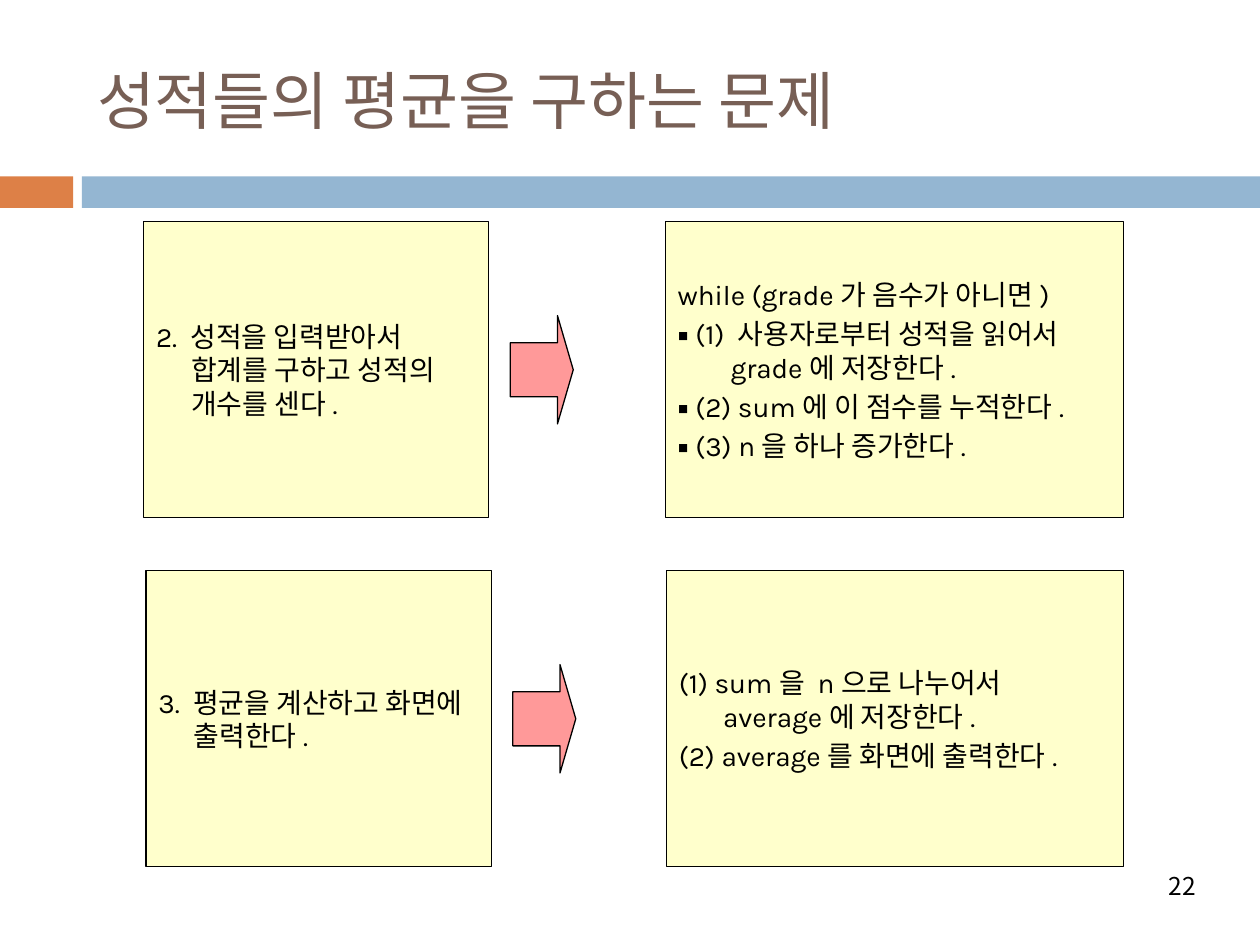
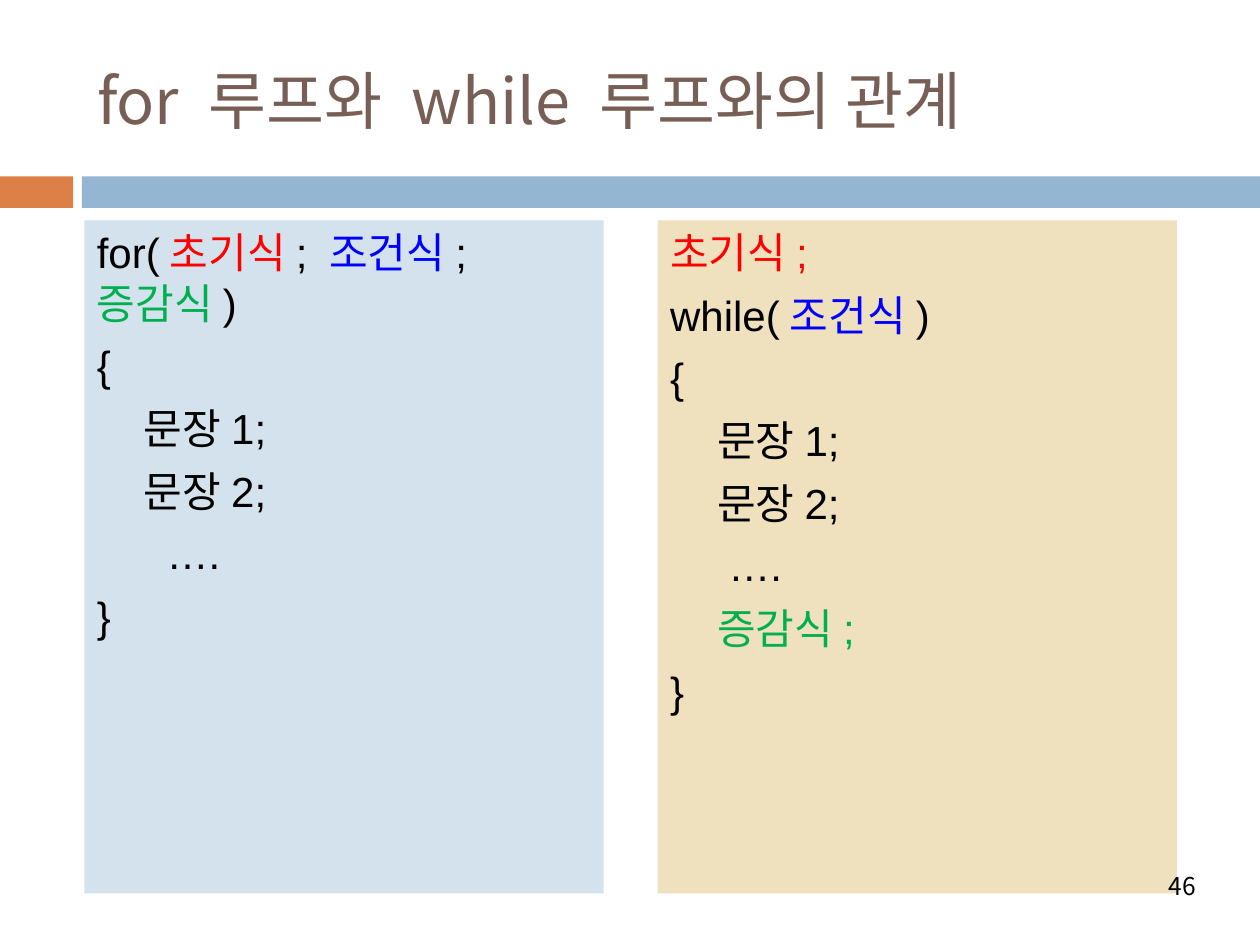
"""Build two lecture slides about loops: computing an average, and for versus while."""
from lxml.etree import SubElement
from pptx import Presentation
from pptx.dml.color import RGBColor
from pptx.enum.shapes import MSO_SHAPE
from pptx.enum.text import MSO_ANCHOR, PP_ALIGN
from pptx.oxml.ns import qn
from pptx.util import Inches, Pt

BLACK = RGBColor(0x00, 0x00, 0x00)
BROWN = RGBColor(0x77, 0x5F, 0x55)
ORANGE = RGBColor(0xDD, 0x80, 0x47)
BLUE = RGBColor(0x94, 0xB6, 0xD2)
YELLOW = RGBColor(0xFF, 0xFF, 0xCC)
PINK = RGBColor(0xFF, 0x99, 0x99)
PALE_BLUE = RGBColor(0xD4, 0xE2, 0xED)
PALE_TAN = RGBColor(0xEF, 0xE0, 0xBE)
INIT_RED = RGBColor(0xFF, 0x00, 0x00)
TEST_BLUE = RGBColor(0x00, 0x00, 0xFF)
STEP_GREEN = RGBColor(0x00, 0xB0, 0x50)

KOREAN_FONT = "Noto Sans CJK KR"
TITLE_STYLE = {"size": Pt(36), "name": KOREAN_FONT}
STEP_STYLE = {"size": Pt(16), "name": "Karla"}
CODE_STYLE = {"size": Pt(24), "name": "Arial"}
NUMBER_STYLE = {"size": Pt(14), "name": KOREAN_FONT}

BANDS = [(0, 0.58, ORANGE), (0.65, 9.35, BLUE)]

AVERAGE_TITLE = "성적들의 평균을 구하는 문제"
AVERAGE_STEPS = [
    {
        "task": ["2. 성적을 입력받아서 합계를 구하고 성적의 개수를 센다."],
        "detail": [
            "while (grade가 음수가 아니면)",
            "▪ (1) 사용자로부터 성적을 읽어서 grade에 저장한다.",
            "▪ (2) sum에 이 점수를 누적한다.",
            "▪ (3) n을 하나 증가한다.",
        ],
        "detail_indent": 0.42,
    },
    {
        "task": ["3. 평균을 계산하고 화면에 출력한다."],
        "detail": [
            "(1) sum을 n으로 나누어서 average에 저장한다.",
            "(2) average를 화면에 출력한다.",
        ],
        "detail_indent": 0.35,
    },
]

LOOP_TITLE = "for 루프와 while 루프와의 관계"
INIT = ("초기식", INIT_RED)
TEST = ("조건식", TEST_BLUE)
STEP = ("증감식", STEP_GREEN)
FOR_CODE = [
    ["for(", INIT, "; ", TEST, "; ", STEP, ")"],
    "{",
    "     문장1;",
    "     문장2;",
    "      ….",
    "}",
]
WHILE_CODE = [
    [("초기식;", INIT_RED)],
    ["while(", TEST, ")"],
    "{",
    "     문장1;",
    "     문장2;",
    "     ….",
    ["     ", ("증감식;", STEP_GREEN)],
    "}",
]
CODE_PANELS = [(FOR_CODE, PALE_BLUE), (WHILE_CODE, PALE_TAN)]


def write(frame, lines, style, color=BLACK, anchor=MSO_ANCHOR.MIDDLE,
          align=PP_ALIGN.LEFT, gap=0, hanging=0):
    frame.word_wrap = True
    frame.vertical_anchor = anchor
    for index, line in enumerate(lines):
        para = frame.paragraphs[0] if index == 0 else frame.add_paragraph()
        para.alignment = align
        para.space_before = Pt(gap if index else 0)
        if hanging:
            properties = para._p.get_or_add_pPr()
            properties.set("marL", str(Inches(hanging)))
            properties.set("indent", str(-Inches(hanging)))
        for part in [line] if isinstance(line, str) else line:
            text, tint = (part, color) if isinstance(part, str) else part
            span = para.add_run()
            span.text = text
            for key, value in style.items():
                setattr(span.font, key, value)
            span.font.color.rgb = tint
            east_asian = SubElement(span._r.get_or_add_rPr(), qn("a:ea"))
            east_asian.set("typeface", KOREAN_FONT)


def add_block(page, kind, left, top, width, height, fill, outlined=False):
    block = page.shapes.add_shape(
        kind, Inches(left), Inches(top), Inches(width), Inches(height))
    block.shadow.inherit = False
    block.fill.solid()
    block.fill.fore_color.rgb = fill
    if outlined:
        block.line.color.rgb = BLACK
        block.line.width = Pt(0.75)
    else:
        block.line.fill.background()
    return block


def add_page(deck, title, number):
    page = deck.slides.add_slide(deck.slide_layouts[5])
    for left, width, fill in BANDS:
        add_block(page, MSO_SHAPE.RECTANGLE, left, 1.4, width, 0.25, fill)
    place = {"left": 0.67, "top": 0.25, "width": 8.92, "height": 1.08}
    for key, value in place.items():
        setattr(page.shapes.title, key, Inches(value))
    write(page.shapes.title.text_frame, [title], TITLE_STYLE, BROWN)
    return page


def add_number(page, number):
    box = page.shapes.add_textbox(Inches(6.81), Inches(6.83), Inches(2.78), Inches(0.4))
    write(box.text_frame, [str(number)], NUMBER_STYLE, align=PP_ALIGN.RIGHT)


def add_average_page(deck, number):
    page = add_page(deck, AVERAGE_TITLE, number)
    row_pitch, box_height, arrow_height, right_edge = 2.77, 2.35, 0.86, 8.92
    for row, step in enumerate(AVERAGE_STEPS):
        top = 1.76 + row * row_pitch
        shift = 0.02 * row
        detail_left = 5.28 + shift / 2
        boxes = [
            (1.14 + shift, 2.74, step["task"], 0.28),
            (detail_left, right_edge - detail_left, step["detail"], step["detail_indent"]),
        ]
        for left, width, lines, hanging in boxes:
            box = add_block(page, MSO_SHAPE.RECTANGLE, left, top, width, box_height,
                            YELLOW, outlined=True)
            write(box.text_frame, lines, STEP_STYLE, gap=3.2, hanging=hanging)
        arrow_top = top + (box_height - arrow_height) / 2
        arrow = add_block(page, MSO_SHAPE.RIGHT_ARROW, 4.05 + shift, arrow_top, 0.5,
                          arrow_height, PINK, outlined=True)
        arrow.adjustments[0] = 0.5
        arrow.adjustments[1] = 0.25
    add_number(page, number)


def add_loop_page(deck, number):
    page = add_page(deck, LOOP_TITLE, number)
    for column, (code, fill) in enumerate(CODE_PANELS):
        panel = add_block(page, MSO_SHAPE.RECTANGLE, 0.67 + column * 4.55, 1.75,
                          4.12, 5.34, fill)
        write(panel.text_frame, code, CODE_STYLE, anchor=MSO_ANCHOR.TOP, gap=7)
    add_number(page, number)


def main():
    deck = Presentation()
    deck.slide_width = Inches(10)
    deck.slide_height = Inches(7.5)
    add_average_page(deck, 22)
    add_loop_page(deck, 46)
    deck.save("out.pptx")


if __name__ == "__main__":
    main()
